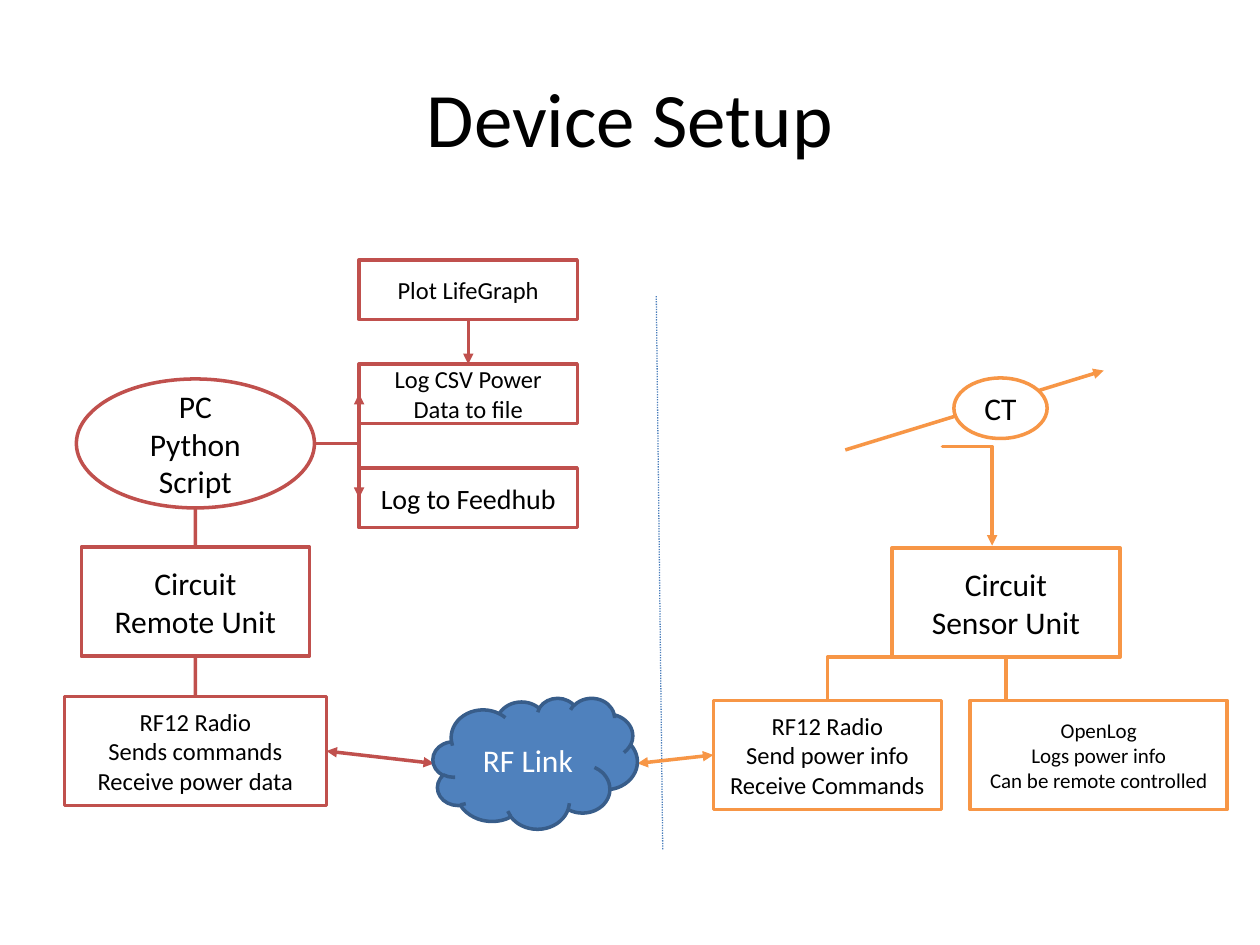
from lxml.etree import SubElement
from pptx import Presentation
from pptx.dml.color import RGBColor
from pptx.enum.dml import MSO_LINE
from pptx.enum.shapes import MSO_CONNECTOR, MSO_SHAPE
from pptx.enum.text import MSO_ANCHOR, PP_ALIGN
from pptx.oxml.ns import qn
from pptx.util import Cm, Pt

RED, ORANGE, BLUE = "C0504D", "F79646", "4F81BD"
CURL = [(5.79, 1.32), (5.59, 1.45), (5.44, 1.5), (5.28, 1.63), (5.11, 1.73),
        (5.13, 1.93), (5.21, 1.96), (5.38, 2.01), (5.56, 2.11), (5.64, 2.18),
        (5.77, 2.34), (5.74, 2.41), (5.61, 2.54), (5.59, 2.64), (5.64, 2.79),
        (5.79, 2.95), (5.87, 3.02), (5.84, 3.3), (5.82, 3.43), (5.82, 3.58)]


def paint(color):
    """Turn a hex string into a colour."""
    return RGBColor.from_string(color)


def write(shape, text, size, color="000000"):
    """Put centred text in a shape."""
    frame = shape.text_frame
    frame.text = text
    frame.word_wrap = True
    frame.vertical_anchor = MSO_ANCHOR.MIDDLE
    for para in frame.paragraphs:
        para.alignment = PP_ALIGN.CENTER
        for run in para.runs:
            run.font.name = "Calibri"
            run.font.size = Pt(size)
            run.font.color.rgb = paint(color)


def stroke(shape, color, width=2, ends=()):
    """Set the outline and the arrowheads of a shape."""
    shape.line.color.rgb = paint(color)
    shape.line.width = Pt(width)
    line = shape.element.spPr.find(qn("a:ln"))
    for end in ends:
        SubElement(line, qn(f"a:{end}End"), type="triangle")


def node(slide, box, text, size, edge, kind=MSO_SHAPE.RECTANGLE,
         fill="FFFFFF", ink="000000"):
    """Draw a labelled shape."""
    shape = slide.shapes.add_shape(kind, *map(Cm, box))
    shape.shadow.inherit = False
    shape.fill.solid()
    shape.fill.fore_color.rgb = paint(fill)
    stroke(shape, edge)
    write(shape, text, size, ink)
    return shape


def side(shape, name):
    """Find the middle of one side of a shape."""
    across, down = {"top": (1, 0), "left": (0, 1),
                    "bottom": (1, 2), "right": (2, 1)}[name]
    return (shape.left + shape.width * across // 2,
            shape.top + shape.height * down // 2)


def link(slide, start, stop, color, ends=(), bent=False, width=2):
    """Draw a straight or bent connector."""
    kind = MSO_CONNECTOR.ELBOW if bent else MSO_CONNECTOR.STRAIGHT
    wire = slide.shapes.add_connector(kind, *start, *stop)
    if bent:
        wire.element.spPr.find(qn("a:prstGeom")).set("prst", "bentConnector2")
    stroke(wire, color, width, ends)
    SubElement(wire.element.spPr, qn("a:effectLst"))
    return wire


def header(slide, box):
    """Place the slide title."""
    write(slide.shapes.add_textbox(*map(Cm, box)), "Device Setup", 44)


def remote(slide, box):
    """Place the PC side and return its radio."""
    x, y = box[:2]
    mid = x + 2.64
    script = node(slide, (mid - 2.4, y + 2.4, 4.8, 2.6), "PC\nPython Script",
                  18, RED, MSO_SHAPE.OVAL)
    unit = node(slide, (mid - 2.3, y + 5.79, 4.6, 2.2),
                "Circuit\nRemote Unit", 18, RED)
    radio = node(slide, (x, y + 8.8, 5.28, 2.2),
                 "RF12 Radio\nSends commands\nReceive power data", 14, RED)
    tasks = [("Plot LifeGraph", 14), ("Log CSV Power Data to file", 14),
             ("Log to Feedhub", 16)]
    plot, *logs = [node(slide, (x + 5.94, y + 2.1 * i, 4.4, 1.2), *task, RED)
                   for i, task in enumerate(tasks)]
    for log in logs:
        link(slide, side(script, "right"), side(log, "left"), RED,
             ["tail"], True)
    link(slide, side(radio, "top"), side(unit, "bottom"), RED)
    link(slide, side(unit, "top"), side(script, "bottom"), RED)
    link(slide, side(plot, "bottom"), side(logs[0], "top"), RED, ["tail"])
    return radio


def sensor(slide, box):
    """Place the sensor side and return its radio."""
    x, y = box[:2]
    unit = node(slide, (x + 3.6, y + 3.58, 4.6, 2.2),
                "Circuit\nSensor Unit", 18, ORANGE)
    radio = node(slide, (x, y + 6.65, 4.6, 2.2),
                 "RF12 Radio\nSend power info\nReceive Commands", 14, ORANGE)
    store = node(slide, (x + 5.18, y + 6.65, 5.18, 2.2),
                 "OpenLog\nLogs power info\nCan be remote controlled",
                 12, ORANGE)
    link(slide, side(unit, "bottom"), side(radio, "top"), ORANGE, bent=True)
    link(slide, side(store, "top"), side(unit, "bottom"), ORANGE, bent=True)
    link(slide, (Cm(x + 2.66), Cm(y + 1.6)), (Cm(x + 7.87), Cm(y)),
         ORANGE, ["tail"])
    node(slide, (x + 4.85, y + 0.15, 1.88, 1.22), "CT", 18, ORANGE,
         MSO_SHAPE.OVAL)
    first, *rest = [(x + dx, y + dy) for dx, dy in CURL]
    pen = slide.shapes.build_freeform(*first, scale=Cm(1))
    pen.add_line_segments(rest, close=False)
    cable = pen.convert_to_shape()
    cable.shadow.inherit = False
    cable.fill.background()
    stroke(cable, ORANGE, ends=["tail"])
    return radio


def bridge(slide, box, near, far):
    """Place the divider and the cloud that joins both radios."""
    x, y, w, h = box
    rule = link(slide, (Cm(x + 4.63), Cm(y + 3.05)),
                (Cm(x + 4.5), Cm(y - 8.1)), "4A7EBB", width=0.75)
    rule.line.dash_style = MSO_LINE.ROUND_DOT
    both = ["head", "tail"]
    level = Cm(y + h / 2)
    link(slide, side(near, "right"), (Cm(x + 0.02), level), RED, both)
    link(slide, side(far, "left"), (Cm(x + w), level), ORANGE, both)
    node(slide, box, "RF Link", 18, "385D8A", MSO_SHAPE.CLOUD, BLUE, "FFFFFF")


def main():
    """Build the slide and save it."""
    deck = Presentation()
    deck.slide_width, deck.slide_height = Cm(25.4), Cm(19.05)
    slide = deck.slides.add_slide(deck.slide_layouts[6])
    header(slide, (1.27, 0.76, 22.86, 3.18))
    near = remote(slide, (1.3, 5.24, 10.34, 11))
    far = sensor(slide, (14.38, 7.47, 10.36, 8.85))
    bridge(slide, (8.73, 14.07, 4.12, 2.64), near, far)
    deck.save("out.pptx")


if __name__ == "__main__":
    main()
